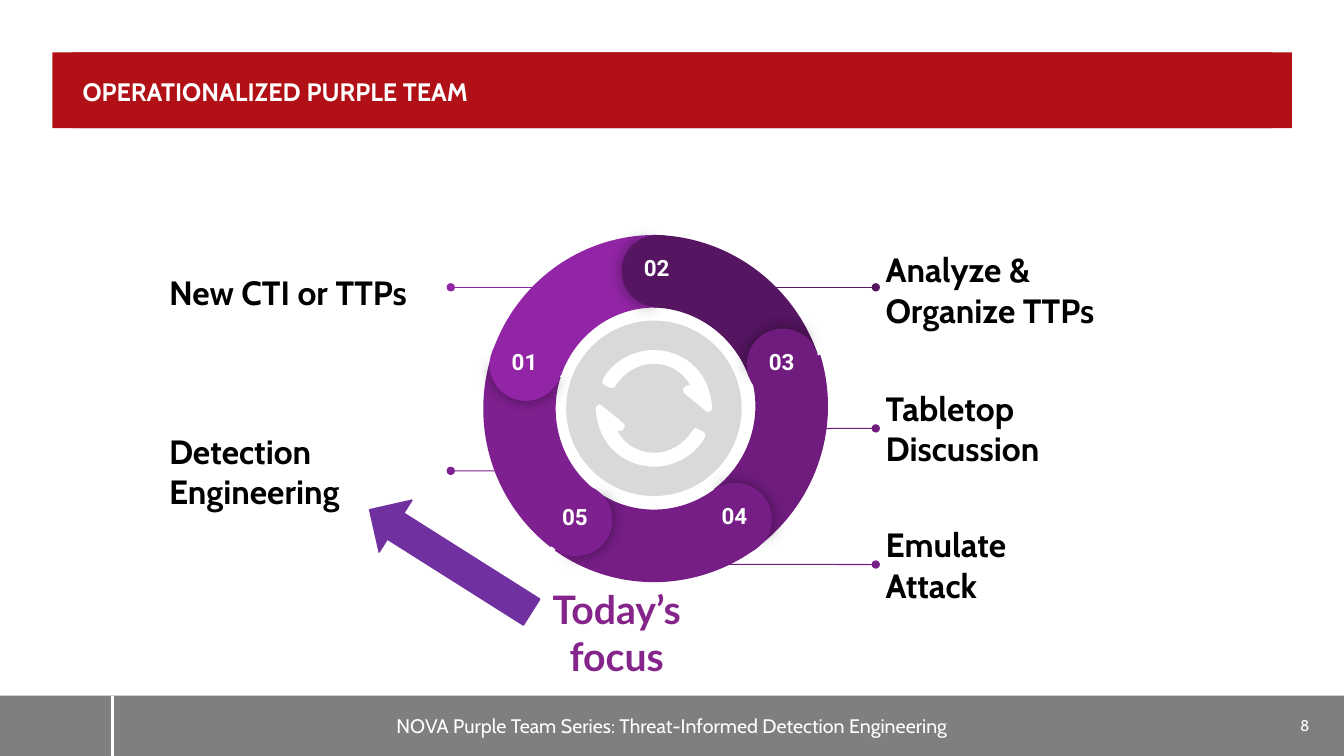
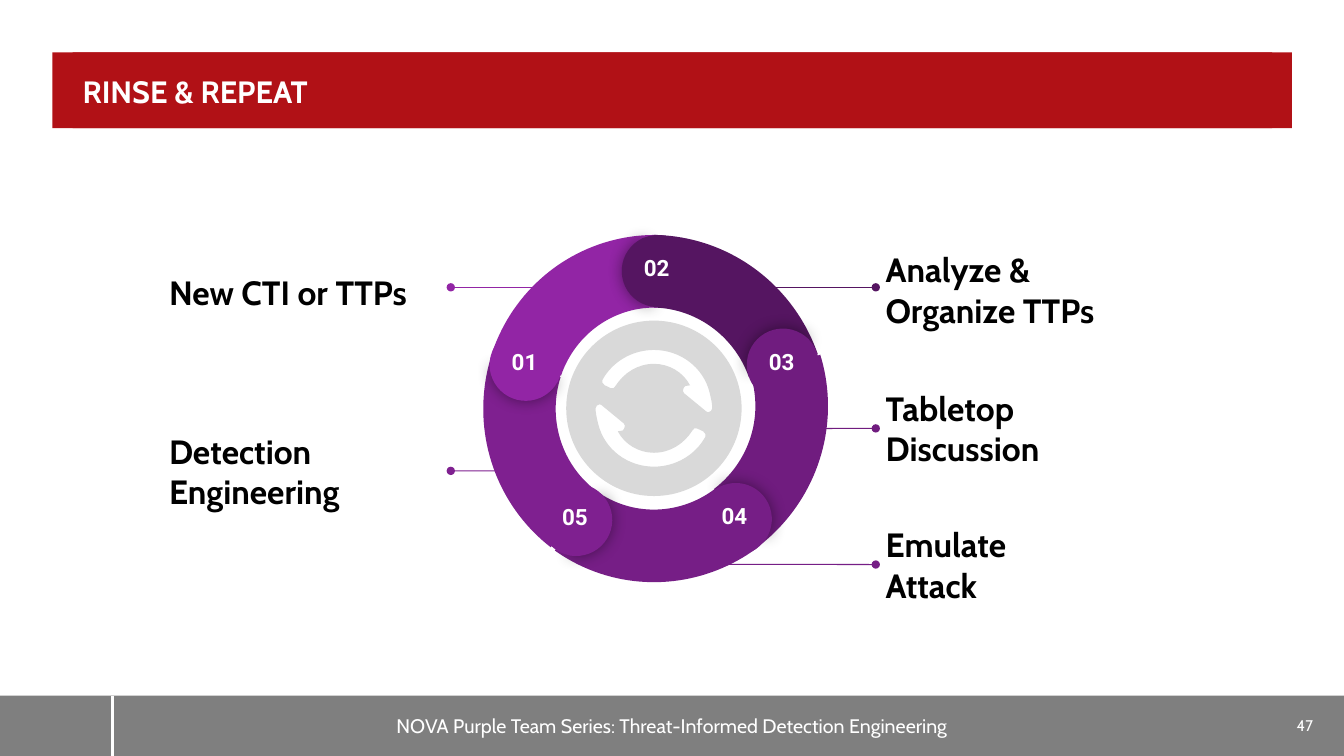
"""Builds two purple team cycle slides."""
from dataclasses import dataclass
from typing import Any, Iterable, NamedTuple

from lxml.etree import SubElement
from pptx import Presentation
from pptx.dml.color import RGBColor
from pptx.enum.shapes import MSO_CONNECTOR, MSO_SHAPE
from pptx.enum.text import MSO_ANCHOR, MSO_AUTO_SIZE, PP_ALIGN
from pptx.oxml.ns import qn
from pptx.util import Cm, Pt

Point = tuple[float, float]


@dataclass(frozen=True)
class Theme:
    """Colours, fonts and type sizes of the deck."""
    red: str = "B11116"
    gray: str = "7F7F7F"
    pale: str = "D9D9D9"
    white: str = "FFFFFF"
    black: str = "000000"
    plum: str = "85258B"
    arrow: str = "7030A0"
    main: str = "Cabin"
    digit: str = "Roboto"
    focus: str = "Lato"
    foot: int = 14
    page: int = 11
    label: int = 24
    mark: int = 16
    call: int = 28


class Box(NamedTuple):
    """Left, top, width and height in centimetres."""
    left: float
    top: float
    width: float
    height: float


class Step(NamedTuple):
    """One stage: label, leader, ring segment and cap."""
    lines: tuple[str, ...]
    color: str
    area: Box
    base: float
    start: Point
    arc: Box
    turn: float
    cap: Point
    spin: float


class Page(NamedTuple):
    """What differs between the slides."""
    title: str
    size: int
    number: str
    focus: bool


THEME = Theme()
WIDE, HIGH = 33.87, 19.05
MID_X, MID_Y = 16.48, 10.29
CAP, DISC, BEND = 1.82, 2.21, 1.22
LEFT, RIGHT, SPAN, TALL = 4.01, 22.07, 7.35, 2.95
ARC = (126.03, 168.68, 0.21)
LOWER, UPPER = (61.9, 149.96), (40.28, 171.84)
BAND = Box(1.32, 1.32, 31.24, 1.91)
HEAD = Box(1.83, 1.32, 30.23, 1.91)
FOOT = Box(0, 17.53, WIDE, 1.52)
STEPS = (
    Step(("New CTI or TTPs",), "9225A5", Box(LEFT, 5.92, SPAN, 3.76), 1.13,
         (14.76, 7.24), Box(12.17, 5.92, 8.71, 8.84), 350,
         (12.34, 8.28), 284.1),
    Step(("Analyze & Organize TTPs",), "551561",
         Box(RIGHT, 5.92, SPAN, TALL), 0.45,
         (18.49, 7.24), Box(12.06, 5.97, 8.84, 8.71), 60,
         (15.67, 5.92), 357.1),
    Step(("Tabletop Discussion",), "701C7F",
         Box(RIGHT, 9.32, SPAN, TALL), 0.25,
         (19.61, 10.8), Box(12.06, 5.94, 8.84, 8.71), 132,
         (18.82, 8.28), 67.1),
    Step(("Emulate", "Attack"), "761E86", Box(RIGHT, 12.75, SPAN, TALL), 0.25,
         (16.97, 14.22), Box(12.17, 5.84, 8.71, 8.84), 204,
         (17.63, 12.17), 139.1),
    Step(("Detection Engineering",), "7F2090",
         Box(LEFT, 10.39, SPAN, TALL), 0.25,
         (13.94, 11.86), Box(12.12, 5.94, 8.81, 8.69), 277,
         (13.61, 12.19), 211.1),
)
PAGES = (
    Page("OPERATIONALIZED PURPLE TEAM", 18, "8", True),
    Page("RINSE & REPEAT", 22, "47", False),
)
ARROW: tuple[tuple[Point, ...], ...] = (
    ((1.32, 0.08),),
    ((1.32, 0.08), (1.35, 0.1), (1.37, 0.1)),
    ((1.42, 0.1), (1.47, 0.05), (1.47, 0)),
    ((1.47, -0.1), (1.45, -0.2), (1.42, -0.33)),
    ((1.42, -0.33), (1.4, -0.41), (1.4, -0.41)),
    ((1.24, -1.04), (0.66, -1.47), (0, -1.47)),
    ((-0.53, -1.47), (-1.04, -1.19), (-1.3, -0.71)),
    ((-1.32, -0.69), (-1.3, -0.61), (-1.24, -0.58)),
    ((-1.09, -0.51),),
    ((-1.04, -0.48), (-0.99, -0.51), (-0.97, -0.56)),
    ((-0.76, -0.89), (-0.41, -1.12), (0, -1.12)),
    ((0.38, -1.12), (0.74, -0.91), (0.91, -0.58)),
    ((0.79, -0.56),),
    ((0.76, -0.53), (0.74, -0.51), (0.74, -0.48)),
    ((0.71, -0.46), (0.74, -0.41), (0.76, -0.38)),
    ((1.32, 0.08),),
)


def apply(item: Any, values: dict[str, Any]) -> None:
    """Set each named attribute on the item."""
    for name, value in values.items():
        setattr(item, name, value)


def place(box: Box) -> dict[str, Any]:
    """Turn a box into position values."""
    return {name: Cm(value) for name, value in box._asdict().items()}


def write(shape: Any, lines: Iterable[str], size: int, color: str,
          font: str = THEME.main, bold: bool = True,
          align: Any = PP_ALIGN.CENTER, anchor: Any = MSO_ANCHOR.MIDDLE,
          pads: tuple[float, ...] = (0.25, 0.25, 0.25, 0.25),
          wrap: bool = True) -> None:
    """Fill a shape with formatted paragraphs."""
    frame = shape.text_frame
    frame.text = "\n".join(lines)
    sides = ("margin_left", "margin_top", "margin_right", "margin_bottom")
    apply(frame, {"auto_size": MSO_AUTO_SIZE.NONE, "word_wrap": wrap,
                  "vertical_anchor": anchor,
                  **{side: Cm(pad) for side, pad in zip(sides, pads)}})
    for para in frame.paragraphs:
        para.alignment = align
        apply(para.font, {"name": font, "size": Pt(size), "bold": bold})
        para.font.color.rgb = RGBColor.from_string(color)


def paint(shape: Any, color: str) -> None:
    """Give a shape a flat fill with no line or shadow."""
    shape.shadow.inherit = False
    shape.fill.solid()
    shape.fill.fore_color.rgb = RGBColor.from_string(color)
    shape.line.fill.background()


def stroke(shape: Any, color: str, width: float) -> None:
    """Set the line colour and width."""
    shape.line.color.rgb = RGBColor.from_string(color)
    shape.line.width = Pt(width)


def form(slide: Any, kind: Any, box: Box, color: str, turn: float = 0,
         adjust: tuple[float, ...] = ()) -> Any:
    """Add a flat preset shape."""
    shape = slide.shapes.add_shape(kind, *place(box).values())
    paint(shape, color)
    shape.rotation = turn % 360
    for index, value in enumerate(adjust):
        shape.adjustments[index] = value
    return shape


def text(slide: Any, box: Box, *args: Any, **values: Any) -> Any:
    """Add a text box."""
    shape = slide.shapes.add_textbox(*place(box).values())
    write(shape, *args, **values)
    return shape


def rule(slide: Any, start: Point, end: Point, color: str,
         width: float) -> Any:
    """Add a straight line without shadow."""
    line = slide.shapes.add_connector(
        MSO_CONNECTOR.STRAIGHT, *(Cm(v) for v in start + end))
    stroke(line, color, width)
    SubElement(line.element.spPr, qn("a:effectLst"))
    return line


def glow(shape: Any) -> None:
    """Add a soft black shadow."""
    holder = shape.element.spPr.find(qn("a:effectLst"))
    shade = SubElement(holder, qn("a:outerShdw"), blurRad=str(Pt(11.2)),
                       dist="0", dir="0", algn="ctr", rotWithShape="0")
    tint = SubElement(shade, qn("a:srgbClr"), val=THEME.black)
    SubElement(tint, qn("a:alpha"), val="43000")


def label(slide: Any, step: Step) -> None:
    """Draw a stage label and its leader line."""
    box, level = step.area, step.start[1]
    right = box.left == RIGHT
    shape = text(slide, box, step.lines, THEME.label, THEME.black,
                 align=PP_ALIGN.LEFT, pads=(0.25, 0.25, 0.25, step.base))
    edge = box.left if right else box.left + box.width
    line = rule(slide, step.start, (edge, level), step.color, 0.75)
    if abs(box.top + box.height / 2 - level) < 0.05:
        line.end_connect(shape, 1 if right else 3)
    SubElement(line.element.spPr.find(qn("a:ln")), qn("a:tailEnd"),
               type="oval")


def cap(slide: Any, mark: str, step: Step) -> None:
    """Draw the round numbered start of a segment."""
    x, y = step.cap
    box = Box(x, y, CAP, CAP)
    glow(form(slide, MSO_SHAPE.PIE, box, step.color, step.spin, LOWER))
    form(slide, MSO_SHAPE.PIE, box, step.color, step.spin + 179.3, UPPER)
    text(slide, Box(x + 0.08, y + 0.24, 1.6, 0.84), [mark],
         THEME.mark, THEME.white, font=THEME.digit, anchor=MSO_ANCHOR.TOP)


def curve(path: Any, loops: Iterable[Any]) -> None:
    """Merge each run of three line ends into a cubic curve."""
    ends = iter(path.findall(qn("a:lnTo")))
    for part in (part for loop in loops for part in loop[1:]):
        group = [next(ends) for _ in part]
        if len(group) == 3:
            cubic = path.makeelement(qn("a:cubicBezTo"))
            group[0].addprevious(cubic)
            for end in group:
                cubic.append(end[0])
                path.remove(end)


def hub(slide: Any) -> None:
    """Draw the centre disc with two arrows cut out."""
    disc = [((0, -DISC),)]
    quarter = ((BEND, -DISC), (DISC, -BEND), (DISC, 0))
    for _ in range(4):
        disc.append(quarter)
        quarter = tuple((-y, x) for x, y in quarter)
    back = [tuple((-x, -y) for x, y in part) for part in ARROW]
    loops = (disc, ARROW, back)
    pen = None
    for loop in loops:
        first, *rest = [(Cm(MID_X + x), Cm(MID_Y + y))
                        for part in loop for x, y in part]
        if pen:
            pen.move_to(*first)
        else:
            pen = slide.shapes.build_freeform(*first)
        pen.add_line_segments(rest, close=False)
    shape = pen.convert_to_shape()
    curve(next(shape.element.iter(qn("a:path"))), loops)
    paint(shape, THEME.pale)


def cycle(slide: Any) -> None:
    """Draw labels, ring segments, caps and hub."""
    for step in STEPS:
        label(slide, step)
    for step in reversed(STEPS):
        form(slide, MSO_SHAPE.BLOCK_ARC, step.arc, step.color, step.turn, ARC)
    for index, step in enumerate(STEPS, 1):
        cap(slide, f"{index:02}", step)
    hub(slide)


def focus(slide: Any) -> None:
    """Point at the stage under discussion."""
    arrow = form(slide, MSO_SHAPE.LEFT_ARROW, Box(8.94, 13.36, 4.83, 1.55),
                 THEME.arrow, 32.3)
    stroke(arrow, THEME.arrow, 1)
    text(slide, Box(13.59, 14.63, 3.91, 2.64), ["Today’s focus"], THEME.call,
         THEME.plum, font=THEME.focus, anchor=MSO_ANCHOR.TOP,
         pads=(0.25, 0.13, 0.25, 0.13))


def share(slide: Any, layout: Any) -> None:
    """Draw the bands and move them to the layout."""
    foot = form(slide, MSO_SHAPE.RECTANGLE, FOOT, THEME.gray)
    write(foot, ["NOVA Purple Team Series: Threat-Informed Detection "
                 "Engineering"], THEME.foot, THEME.white, bold=False)
    split = rule(slide, (2.83, FOOT.top), (2.83, HIGH), THEME.white, 2)
    band = form(slide, MSO_SHAPE.RECTANGLE, BAND, THEME.red)
    for shape in (foot, split, band):
        layout.shapes.element.append(shape.element)


def fill(slide: Any, page: Page) -> None:
    """Write one slide over the shared bands."""
    title = slide.shapes.title
    paint(title, THEME.red)
    write(title, [page.title], page.size, THEME.white, align=PP_ALIGN.LEFT,
          pads=(0.25, 0.17, 0.25, 0))
    title.text_frame.paragraphs[0].line_spacing = 0.9
    text(slide, Box(32.16, FOOT.top, 1.45, FOOT.height), [page.number],
         THEME.page, THEME.white, bold=False, wrap=False)
    cycle(slide)
    if page.focus:
        focus(slide)


deck = Presentation()
apply(deck, {"slide_width": Cm(WIDE), "slide_height": Cm(HIGH)})
layout = deck.slide_layouts[5]
head, *spare = layout.placeholders
apply(head, place(HEAD))
for item in spare:
    item.element.getparent().remove(item.element)
slides = [deck.slides.add_slide(layout) for _ in PAGES]
share(slides[0], layout)
for slide, page in zip(slides, PAGES):
    fill(slide, page)
deck.save("out.pptx")
